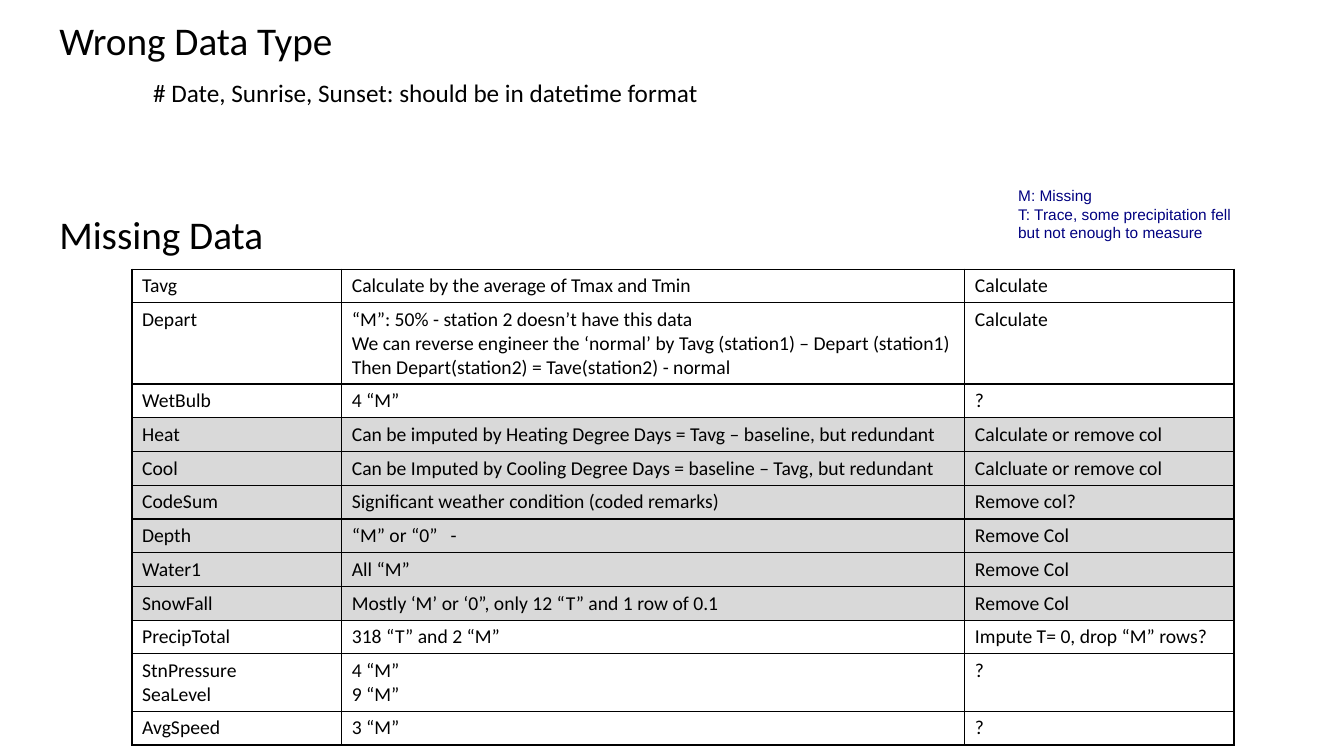
from lxml import etree
from pptx import Presentation
from pptx.dml.color import RGBColor
from pptx.enum.text import MSO_ANCHOR
from pptx.oxml.ns import qn
from pptx.util import Inches, Pt

BLACK = RGBColor(0x00, 0x00, 0x00)
WHITE = RGBColor(0xFF, 0xFF, 0xFF)
GREY = RGBColor(0xD9, 0xD9, 0xD9)
NAVY = RGBColor(0x00, 0x00, 0x80)
MIDDLE = MSO_ANCHOR.MIDDLE
TOP = MSO_ANCHOR.TOP

COLUMN_WIDTHS = (2.08, 6.18, 2.67)
LINE_HEIGHT = 0.235
CELL_PADDING = 0.1
BORDER_SIDES = ("a:lnL", "a:lnR", "a:lnT", "a:lnB")

# Each row: column name, findings, action; a line break starts a paragraph.
MISSING_DATA = [
    ("Tavg", "Calculate by the average of Tmax and Tmin", "Calculate"),
    ("Depart",
     "“M”: 50% - station 2 doesn’t have this data\n"
     "We can reverse engineer the ‘normal’ by Tavg (station1) – Depart (station1)\n"
     "Then Depart(station2) = Tave(station2) - normal",
     "Calculate"),
    ("WetBulb", "4 “M”", "?"),
    ("Heat", "Can be imputed by Heating Degree Days = Tavg – baseline, but redundant",
     "Calculate or remove col"),
    ("Cool", "Can be Imputed by Cooling Degree Days = baseline – Tavg, but redundant",
     "Calcluate or remove col"),
    ("CodeSum", "Significant weather condition (coded remarks)", "Remove col?"),
    ("Depth", "“M” or “0”   -", "Remove Col"),
    ("Water1", "All “M”", "Remove Col"),
    ("SnowFall", "Mostly ‘M’ or ‘0”, only 12 “T” and 1 row of 0.1", "Remove Col"),
    ("PrecipTotal", "318 “T” and 2 “M”", "Impute T= 0, drop “M” rows?"),
    ("StnPressure\nSeaLevel", "4 “M”\n9 “M”", "?"),
    ("AvgSpeed", "3 “M”", "?"),
]
REDUNDANT_COLUMNS = {"Heat", "Cool", "CodeSum", "Depth", "Water1", "SnowFall"}


def write_text(text_frame, text, size, font_name="Calibri", color=BLACK, line_spacing=None):
    for index, line in enumerate(text.split("\n")):
        paragraph = text_frame.add_paragraph() if index else text_frame.paragraphs[0]
        if line_spacing:
            paragraph.line_spacing = line_spacing
        run = paragraph.add_run()
        run.text = line
        run.font.size = Pt(size)
        run.font.name = font_name
        run.font.color.rgb = color


def add_text(slide, box, text, size, anchor=TOP, wrap=True, **style):
    shape = slide.shapes.add_textbox(*map(Inches, box))
    text_frame = shape.text_frame
    text_frame.word_wrap = wrap
    text_frame.vertical_anchor = anchor
    write_text(text_frame, text, size, **style)


def add_heading(slide, box, text):
    add_text(slide, box, text, 28, anchor=MIDDLE, line_spacing=0.9)


def draw_borders(cell):
    """Give the cell a thin black line on all four sides."""
    properties = cell._tc.get_or_add_tcPr()
    for position, side in enumerate(BORDER_SIDES):
        line = etree.Element(qn(side), w=str(Pt(1)))
        fill = etree.SubElement(line, qn("a:solidFill"))
        etree.SubElement(fill, qn("a:srgbClr"), val=str(BLACK))
        properties.insert(position, line)


def add_missing_data_table(slide, left, top):
    heights = [CELL_PADDING + LINE_HEIGHT * max(text.count("\n") + 1 for text in row)
               for row in MISSING_DATA]
    box = (left, top, sum(COLUMN_WIDTHS), sum(heights))
    table = slide.shapes.add_table(
        len(MISSING_DATA), len(COLUMN_WIDTHS), *map(Inches, box)).table
    table.first_row = False
    table.horz_banding = False
    for column, width in zip(table.columns, COLUMN_WIDTHS):
        column.width = Inches(width)
    for row, height, texts in zip(table.rows, heights, MISSING_DATA):
        row.height = Inches(height)
        for cell, text in zip(row.cells, texts):
            cell.fill.solid()
            cell.fill.fore_color.rgb = GREY if texts[0] in REDUNDANT_COLUMNS else WHITE
            draw_borders(cell)
            write_text(cell.text_frame, text, 14)


def add_wrong_type_section(slide, left, top):
    add_heading(slide, (left, top, 11.5, 0.82), "Wrong Data Type")
    add_text(slide, (left + 0.93, top + 0.71, 5.67, 0.4),
             "# Date, Sunrise, Sunset: should be in datetime format", 18, wrap=False)


def add_missing_data_section(slide, left, top):
    add_heading(slide, (left, top, 11.5, 0.82), "Missing Data")
    add_missing_data_table(slide, left + 0.82, top + 0.73)
    add_text(slide, (left + 9.51, top - 0.14, 2.39, 0.66),
             "M: Missing\nT: Trace, some precipitation fell but not enough to measure",
             11, font_name="Arial", color=NAVY)


def main():
    presentation = Presentation()
    presentation.slide_width = Inches(13.33)
    presentation.slide_height = Inches(7.5)
    slide = presentation.slides.add_slide(presentation.slide_layouts[6])
    add_wrong_type_section(slide, 0.49, 0.01)
    add_missing_data_section(slide, 0.49, 1.94)
    presentation.save("out.pptx")


if __name__ == "__main__":
    main()
